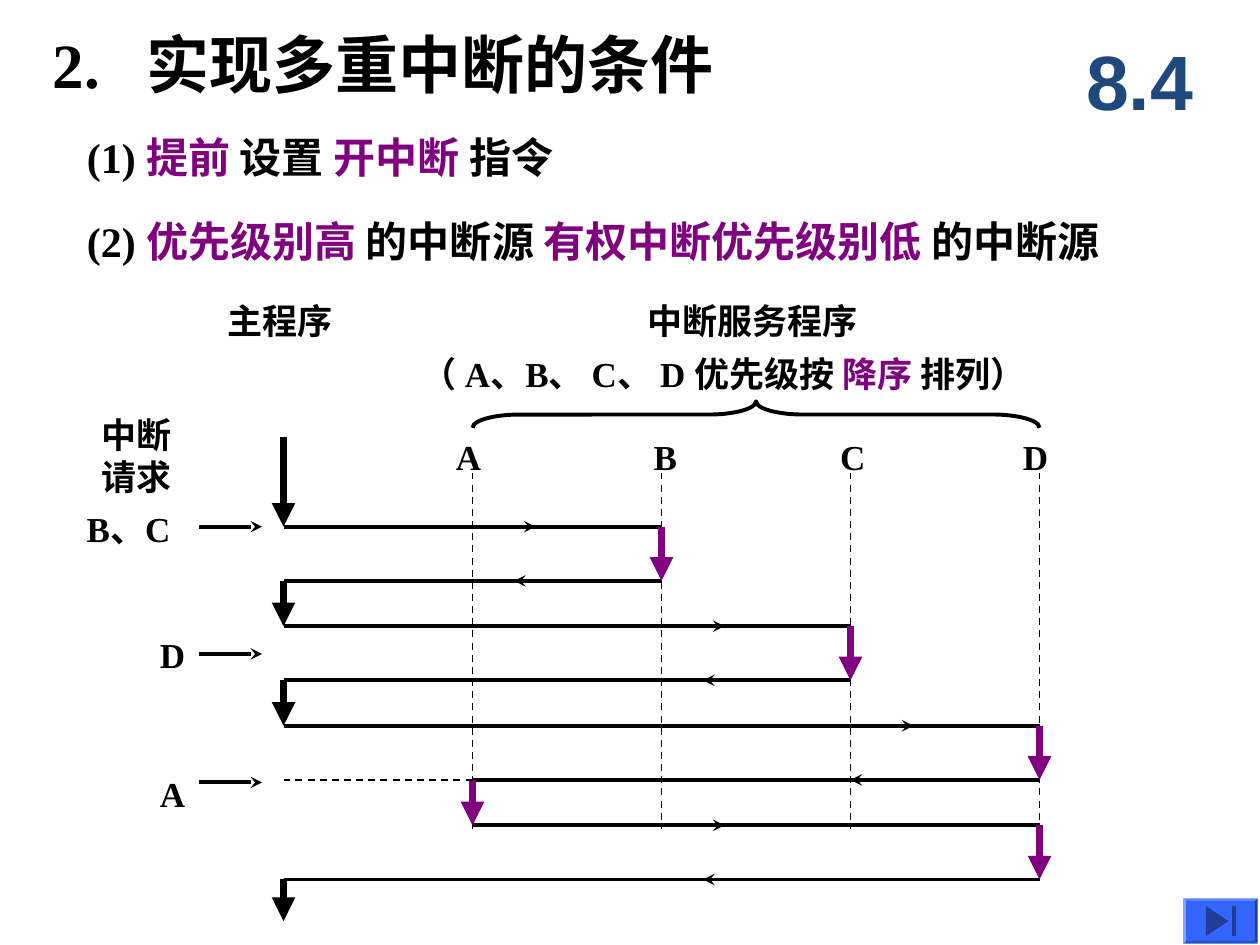
from dataclasses import dataclass

from lxml.etree import SubElement
from pptx import Presentation
from pptx.dml.color import RGBColor
from pptx.enum.dml import MSO_LINE
from pptx.enum.shapes import MSO_CONNECTOR, MSO_SHAPE
from pptx.enum.text import MSO_ANCHOR as Anchor, MSO_AUTO_SIZE as AutoSize, PP_ALIGN as Align
from pptx.oxml.ns import qn
from pptx.util import Inches, Pt


@dataclass(frozen=True)
class Theme:
    ink: str = "000000"
    accent: str = "800080"
    section: str = "1F497D"
    button: str = "3366FF"
    icon: str = "1F3D99"
    serif: str = "Times New Roman"
    sans: str = "Arial"
    title: int = 36
    body: int = 24
    label: int = 20
    number: int = 44
    hair: float = 1
    flow: float = 2.25
    run: float = 4.5


T = Theme()
MAIN, A, B, C, D = range(5)
COLUMN_GAP, CALL_GAP, SERVICE_TIME = 1.5, 0.79, 0.43


def col(index):
    """Horizontal place of a program's time line."""
    return 2.25 + COLUMN_GAP * index


def row(index):
    """Vertical place of a call; the return lies SERVICE_TIME below."""
    return 4.18 + CALL_GAP * index


def apply(target, values):
    for name, value in values.items():
        setattr(target, name, value)


def place(shape, left, top, width, height):
    apply(shape, {"left": Inches(left), "top": Inches(top),
                  "width": Inches(width), "height": Inches(height)})


def write(paragraph, runs, size, font=T.serif, color=T.ink):
    """Runs are plain strings; a (string,) tuple is stressed."""
    for part in runs:
        stressed = isinstance(part, tuple)
        run = paragraph.add_run()
        run.text = part[0] if stressed else part
        apply(run.font, {"name": font, "size": Pt(size), "bold": True})
        run.font.color.rgb = RGBColor.from_string(T.accent if stressed else color)


def add_label(slide, box, *lines):
    label = slide.shapes.add_textbox(*map(Inches, box))
    frame = label.text_frame
    apply(frame, {"word_wrap": False, "auto_size": AutoSize.SHAPE_TO_FIT_TEXT})
    for number, runs in enumerate(lines):
        paragraph = frame.add_paragraph() if number else frame.paragraphs[0]
        write(paragraph, runs, T.label)


def add_line(slide, start, end, weight=T.flow, color=T.ink, head=None, dashed=False):
    line = slide.shapes.add_connector(MSO_CONNECTOR.STRAIGHT, *map(Inches, (*start, *end)))
    line.line.width = Pt(weight)
    line.line.color.rgb = RGBColor.from_string(color)
    if dashed:
        line.line.dash_style = MSO_LINE.DASH
    if head:
        SubElement(line.line._get_or_add_ln(), qn("a:tailEnd")).set("type", head)
    SubElement(line._element.spPr, qn("a:effectLst"))


def add_execution(slide, column, top, bottom, color=T.ink):
    """Thick arrow: a program running."""
    add_line(slide, (col(column), top), (col(column), bottom), T.run, color, "triangle")


def add_transfer(slide, start, end, y, tip, step):
    """Line between two programs, with a short arrow showing its direction."""
    add_line(slide, (col(start), y), (col(end), y))
    add_line(slide, (tip - step, y), (tip, y), head="stealth")


def fill_plain(shape, color):
    shape.shadow.inherit = False
    shape.fill.solid()
    shape.fill.fore_color.rgb = RGBColor.from_string(color)
    shape.line.fill.background()


def add_heading(slide):
    title = slide.shapes.title
    place(title, 0.42, 0.27, 5.9, 0.47)
    frame = title.text_frame
    apply(frame, {"margin_left": 0, "margin_right": 0, "margin_top": 0, "margin_bottom": 0,
                  "vertical_anchor": Anchor.MIDDLE, "auto_size": AutoSize.NONE})
    paragraph = frame.paragraphs[0]
    paragraph.alignment = Align.LEFT
    stops = SubElement(paragraph._p.get_or_add_pPr(), qn("a:tabLst"))
    SubElement(stops, qn("a:tab"), pos=str(Inches(0.74)), algn="l")
    write(paragraph, ["2.\t实现多重中断的条件"], T.title)

    # Section number
    section = slide.shapes.add_textbox(*map(Inches, (8.42, 0.17, 1.25, 0.92)))
    apply(section.text_frame, {"word_wrap": True, "vertical_anchor": Anchor.MIDDLE})
    number = section.text_frame.paragraphs[0]
    number.alignment = Align.CENTER
    write(number, ["8.4"], T.number, T.sans, T.section)


def add_conditions(slide):
    conditions = slide.placeholders[1]
    place(conditions, 0.59, 0.98, 8.91, 1.17)
    frame = conditions.text_frame
    frame.auto_size = AutoSize.NONE
    for number, runs in enumerate((
        ["(1) ", ("提前 ",), "设置 ", ("开中断 ",), "指令"],
        ["(2) ", ("优先级别高 ",), "的中断源 ", ("有权中断优先级别低 ",), "的中断源"],
    )):
        paragraph = frame.add_paragraph() if number else frame.paragraphs[0]
        properties = paragraph._p.get_or_add_pPr()
        properties.set("marL", "0")
        properties.set("indent", "0")
        SubElement(properties, qn("a:buNone"))
        apply(paragraph, {"line_spacing": Pt(30), "space_before": Pt(18 * number)})
        write(paragraph, runs, T.body)


def add_programs(slide):
    add_label(slide, (1.71, 2.33, 1.2, 0.44), ["主程序"])
    add_label(slide, (5.04, 2.33, 2, 0.44), ["中断服务程序"])
    add_label(slide, (3.25, 2.75, 5.6, 0.44),
              ["（ A、B、 C、 D 优先级按 ", ("降序 ",), "排列）"])
    # Time lines of the service programs
    for column, name, left in ((A, "A", 3.52), (B, "B", 5.09), (C, "C", 6.57), (D, "D", 8.02)):
        add_line(slide, (col(column), 3.75), (col(column), 6.58), T.hair, dashed=True)
        add_label(slide, (left, 3.41, 0.4, 0.44), [name])
    # Brace over the four programs
    span, depth = col(D) - col(A), 0.21
    brace = slide.shapes.add_shape(MSO_SHAPE.LEFT_BRACE, 0, 0, 0, 0)
    place(brace, (col(A) + col(D) - depth) / 2, 3.29 - span / 2, depth, span)
    brace.rotation = 90
    brace.adjustments[0] = 1.78
    brace.shadow.inherit = False
    brace.fill.background()
    brace.line.width = Pt(T.flow)
    brace.line.color.rgb = RGBColor.from_string(T.ink)


def add_requests(slide):
    add_label(slide, (0.71, 3.23, 0.95, 0.77), ["中断"], ["请求"])
    for name, left, top, width, arrow_y in (
        ("B、C", 0.59, 3.98, 1.1, 4.18), ("D", 1.17, 4.98, 0.4, 5.19), ("A", 1.17, 6.08, 0.4, 6.21),
    ):
        add_label(slide, (left, top, width, 0.44), [name])
        add_line(slide, (1.58, arrow_y), (2.08, arrow_y), head="stealth")


def add_flow(slide):
    add_execution(slide, MAIN, 3.47, row(0))
    # caller, service, program returned to, arrow tips, end of resumed run
    calls = (
        (MAIN, B, MAIN, 4.25, 4.08, row(1)),
        (MAIN, C, MAIN, 5.75, 5.58, row(2)),
        (MAIN, D, A, 7.25, 6.75, row(3)),
        (A, D, MAIN, 5.75, 5.58, 7.31),
    )
    for number, (caller, service, resumed, call_tip, return_tip, stop) in enumerate(calls):
        start = row(number)
        finish = start + SERVICE_TIME
        add_transfer(slide, caller, service, start, call_tip, 0.5)
        add_transfer(slide, resumed, service, finish, return_tip, -0.5)
        add_execution(slide, service, start, finish, T.accent)
        add_execution(slide, resumed, finish, stop, T.accent if resumed else T.ink)
    # The main program is still waiting when A interrupts
    waiting = row(2) + SERVICE_TIME
    add_line(slide, (col(A), waiting), (col(MAIN), waiting), T.hair, dashed=True)


def add_end_button(slide):
    button = slide.shapes.add_shape(MSO_SHAPE.BEVEL, *map(Inches, (9.39, 7.13, 0.59, 0.36)))
    button.adjustments[0] = 0.06
    builder = slide.shapes.build_freeform(Inches(9.57), Inches(7.19))
    builder.add_line_segments([(Inches(9.75), Inches(7.31)), (Inches(9.57), Inches(7.43))])
    triangle = builder.convert_to_shape()
    bar = slide.shapes.add_shape(MSO_SHAPE.RECTANGLE, *map(Inches, (9.78, 7.19, 0.03, 0.24)))
    for part, color in ((button, T.button), (triangle, T.icon), (bar, T.icon)):
        fill_plain(part, color)


def main():
    deck = Presentation()
    apply(deck, {"slide_width": Inches(10), "slide_height": Inches(7.5)})
    slide = deck.slides.add_slide(deck.slide_layouts[1])
    for add_part in (add_heading, add_conditions, add_programs, add_requests, add_flow,
                     add_end_button):
        add_part(slide)
    deck.save("out.pptx")


if __name__ == "__main__":
    main()
